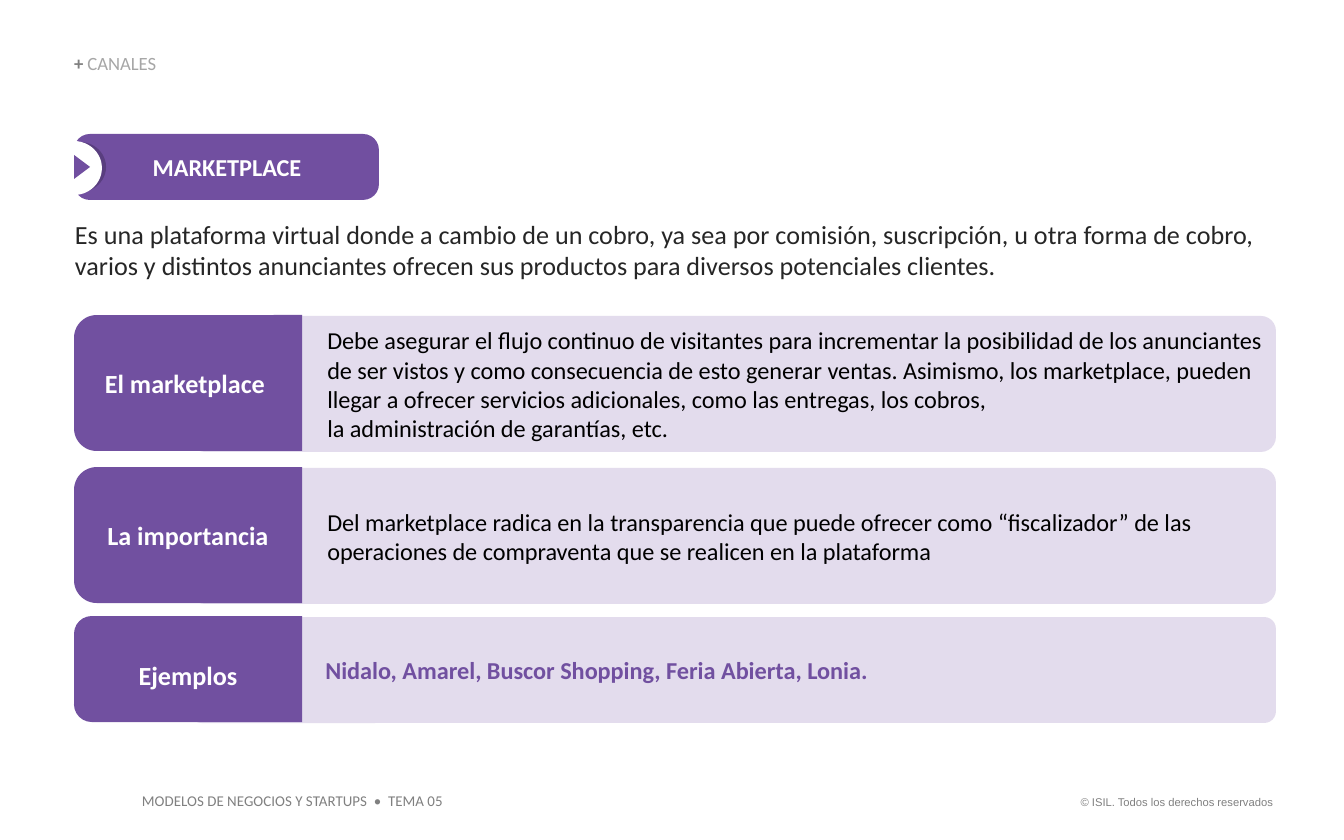
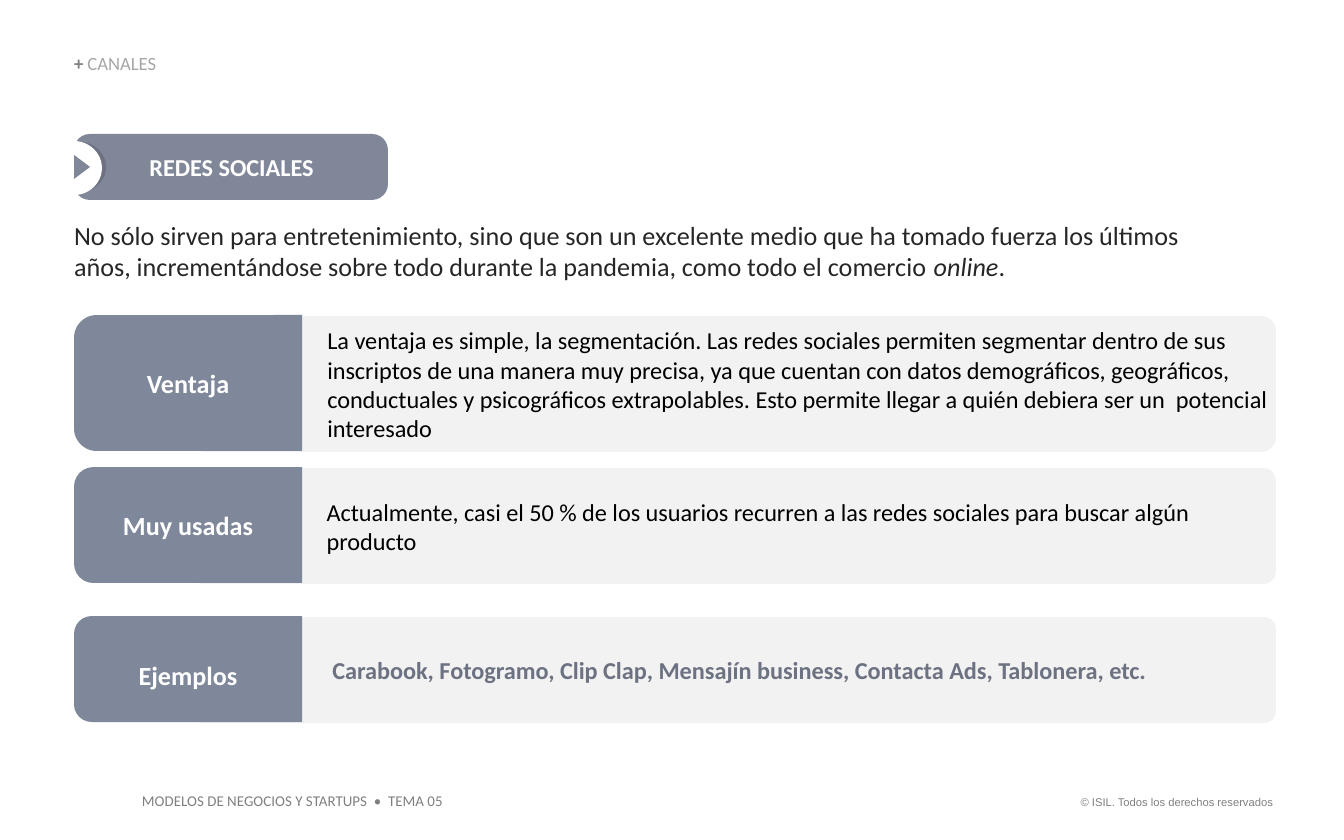
from pptx import Presentation
from pptx.dml.color import RGBColor
from pptx.enum.shapes import MSO_SHAPE
from pptx.enum.text import MSO_ANCHOR, PP_ALIGN
from pptx.util import Emu, Pt

SCALE = 914400 / 134.4
FONT = "Calibri"
WHITE, BLACK, INK = "FFFFFF", "000000", "262626"
GREY, PALE = "808080", "A6A6A6"
LEFT, TAB_W = 74, 228
PANEL_X, PANEL_W = 190, 1086

VIOLET = {"title": "714FA0", "shade": "593E7F", "tab": "7150A0",
          "panel": "E3DCED", "names": "7150A0"}
SLATE = {"title": "808799", "shade": "6C7281", "tab": "7F879A",
         "panel": "F2F2F2", "names": "6C7281"}


def px(n):
    return Emu(round(n * SCALE))


def color(code):
    return RGBColor.from_string(code)


def style(font, size, code, bold=False, name=FONT):
    font.name, font.size, font.bold = name, Pt(size), bold
    font.color.rgb = color(code)


def set_frame(frame, inset=(0, 0, 0, 0), anchor=MSO_ANCHOR.TOP, wrap=True):
    frame.word_wrap = wrap
    frame.vertical_anchor = anchor
    (frame.margin_left, frame.margin_top,
     frame.margin_right, frame.margin_bottom) = map(px, inset)


def add_text(slide, box, text, size, code, bold=False, name=FONT,
             align=PP_ALIGN.LEFT, **frame):
    """Add a text box and return its only paragraph."""
    shape = slide.shapes.add_textbox(*map(px, box))
    set_frame(shape.text_frame, **frame)
    line = shape.text_frame.paragraphs[0]
    line.text, line.alignment = text, align
    style(line.font, size, code, bold, name)
    return line


def add_block(slide, kind, box, fill, turn=0, round_by=None):
    shape = slide.shapes.add_shape(kind, *map(px, box))
    shape.shadow.inherit = False
    shape.fill.solid()
    shape.fill.fore_color.rgb = color(fill)
    shape.line.fill.background()
    shape.rotation = turn
    if round_by is not None:
        shape.adjustments[0] = round_by
    return shape


def fill_block(shape, text, size, code, bold=False, align=PP_ALIGN.LEFT,
               inset=(0, 0, 0, 0), margin=0, hang=0):
    set_frame(shape.text_frame, inset, MSO_ANCHOR.MIDDLE)
    line = shape.text_frame.paragraphs[0]
    line.text, line.alignment = text, align
    props = line._p.get_or_add_pPr()
    props.set("marL", str(px(margin)))
    props.set("indent", str(px(hang)))
    style(line.font, size, code, bold)


def add_frame(slide):
    """Draw the section heading and the footers."""
    head = add_text(slide, (LEFT, 55, 571, 20), "", 10, GREY,
                    anchor=MSO_ANCHOR.BOTTOM)
    head.line_spacing = 0.9
    for text, code, bold in (("+ ", GREY, True), ("CANALES", PALE, False)):
        run = head.add_run()
        run.text = text
        style(run.font, 10, code, bold)
    inset = (13, 7, 13, 7)
    add_text(slide, (129, 785, 329, 32),
             "MODELOS DE NEGOCIOS Y STARTUPS  •  TEMA 05", 8, GREY,
             inset=inset, wrap=False)
    add_text(slide, (1059, 789, 227, 27),
             "© ISIL. Todos los derechos reservados", 6, GREY, name="Arial",
             align=PP_ALIGN.RIGHT, inset=inset, wrap=False)


def add_title(slide, text, width, theme):
    """Draw the title pill with its arrow badge."""
    pill = add_block(slide, MSO_SHAPE.ROUNDED_RECTANGLE,
                     (LEFT, 134, width, 66), theme["title"], round_by=0.24)
    fill_block(pill, text, 13, WHITE, True, PP_ALIGN.CENTER, margin=1)
    add_block(slide, MSO_SHAPE.OVAL, (54, 142, 52, 50), theme["shade"])
    add_block(slide, MSO_SHAPE.OVAL, (46, 141, 56, 54), WHITE)
    add_block(slide, MSO_SHAPE.ISOSCELES_TRIANGLE, (70, 159, 24, 16),
              theme["title"], turn=90)


def add_intro(slide, box, parts):
    """Write the parts in turn, every second one in italics."""
    line = add_text(slide, box, "", 14, INK)
    for i, text in enumerate(parts):
        run = line.add_run()
        run.text = text
        style(run.font, 14, INK)
        run.font.italic = i % 2 == 1


def add_row(slide, top, height, drop, label, text, theme,
            names=False, margin=7, hang=0):
    """Draw a panel and its tab; drop shifts the label from the middle."""
    panel = add_block(slide, MSO_SHAPE.ROUNDED_RECTANGLE,
                      (PANEL_X, top, PANEL_W, height), theme["panel"],
                      round_by=0.11)
    fill_block(panel, text, 13, theme["names"] if names else BLACK, names,
               inset=(126, 0, 0, 0), margin=margin, hang=hang)
    mid = top + height / 2
    add_block(slide, MSO_SHAPE.ROUND_2_SAME_RECTANGLE,
              (LEFT + (TAB_W - height) / 2, mid - 1 - TAB_W / 2,
               height, TAB_W), theme["tab"], turn=270)
    add_text(slide, (LEFT, mid - 17 + drop, TAB_W, 32), label, 14, WHITE, True,
             align=PP_ALIGN.CENTER)


def add_page(deck, theme, title, width, box, intro, rows, names, hang):
    slide = deck.slides.add_slide(deck.slide_layouts[6])
    add_frame(slide)
    add_title(slide, title, width, theme)
    add_intro(slide, box, intro)
    for top, height, label, text in rows:
        add_row(slide, top, height, 0, label, text, theme)
    add_row(slide, 617, 106, 6, "Ejemplos", names, theme,
            names=True, margin=13, hang=hang)


def main():
    deck = Presentation()
    deck.slide_width, deck.slide_height = px(1344), px(840)
    add_page(
        deck, VIOLET, "MARKETPLACE", 305, (75, 218, 1200, 63),
        ["Es una plataforma virtual donde a cambio de un cobro, ya sea por "
         "comisión, suscripción, u otra forma de cobro, varios y distintos "
         "anunciantes ofrecen sus productos para diversos potenciales "
         "clientes."],
        [(316, 136, "El marketplace ",
          "Debe asegurar el flujo continuo de visitantes para incrementar la "
          "posibilidad de los anunciantes de ser vistos y como consecuencia "
          "de esto generar ventas. Asimismo, los marketplace, pueden llegar "
          "a ofrecer servicios adicionales, como las entregas, los cobros, \n"
          "la administración de garantías, etc."),
         (468, 136, "La importancia",
          "Del marketplace radica en la transparencia que puede ofrecer como "
          "“fiscalizador” de las operaciones de compraventa que se realicen "
          "en la plataforma")],
        "Nidalo, Amarel, Buscor Shopping, Feria Abierta, Lonia.", -7)
    add_page(
        deck, SLATE, "REDES SOCIALES", 314, (74, 219, 1152, 63),
        ["No sólo sirven para entretenimiento, sino que son un excelente "
         "medio que ha tomado fuerza los últimos años, incrementándose sobre "
         "todo durante la pandemia, como todo el comercio ", "online", "."],
        [(316, 136, "Ventaja",
          "La ventaja es simple, la segmentación. Las redes sociales permiten "
          "segmentar dentro de sus inscriptos de una manera muy precisa, ya "
          "que cuentan con datos demográficos, geográficos, conductuales y "
          "psicográficos extrapolables. Esto permite llegar a quién debiera "
          "ser un  potencial interesado"),
         (468, 116, "Muy usadas",
          "Actualmente, casi el 50 % de los usuarios recurren a las redes "
          "sociales para buscar algún producto")],
        "Carabook, Fotogramo, Clip Clap, Mensajín business, Contacta Ads, "
        "Tablonera, etc.", 0)
    deck.save("out.pptx")


if __name__ == "__main__":
    main()
